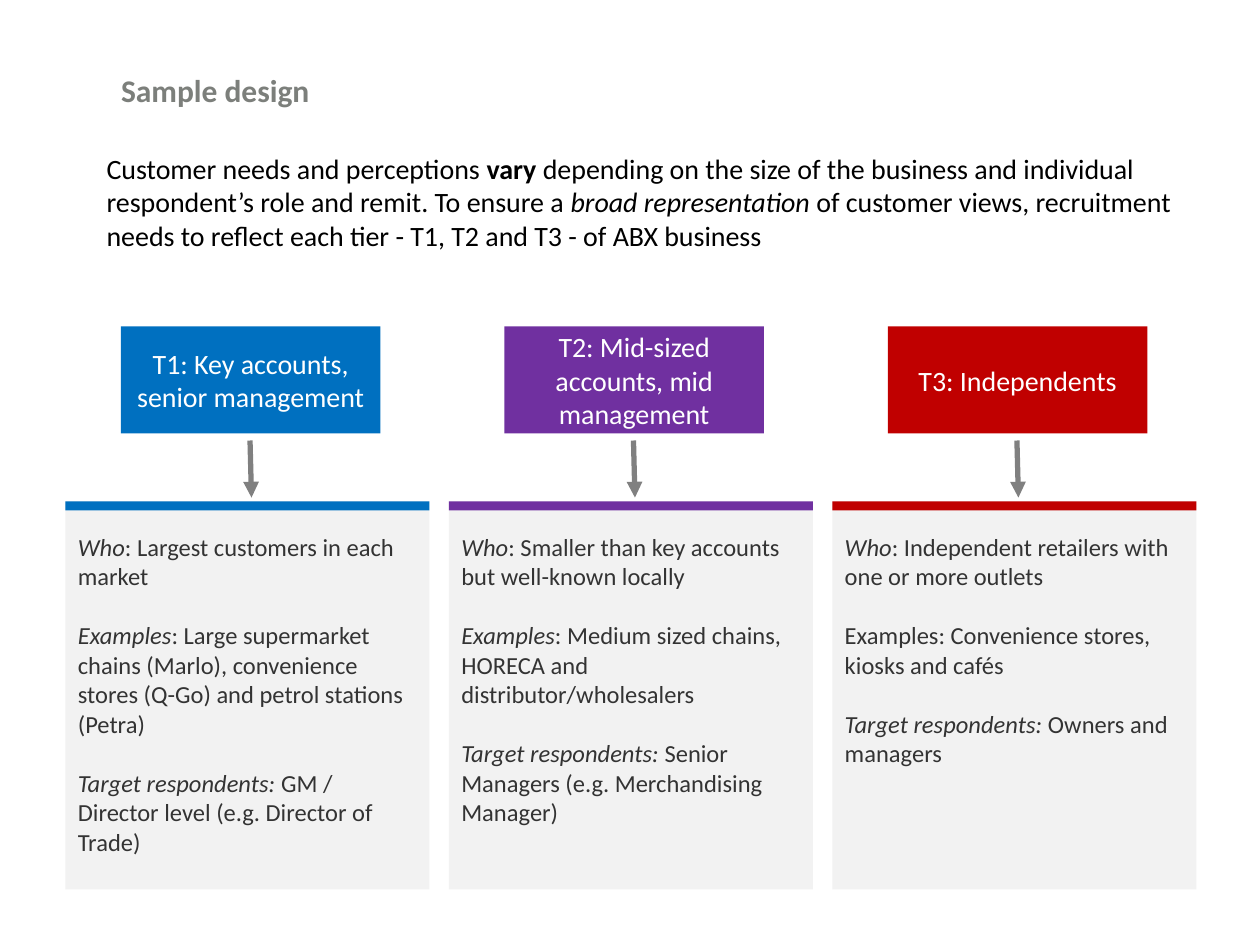
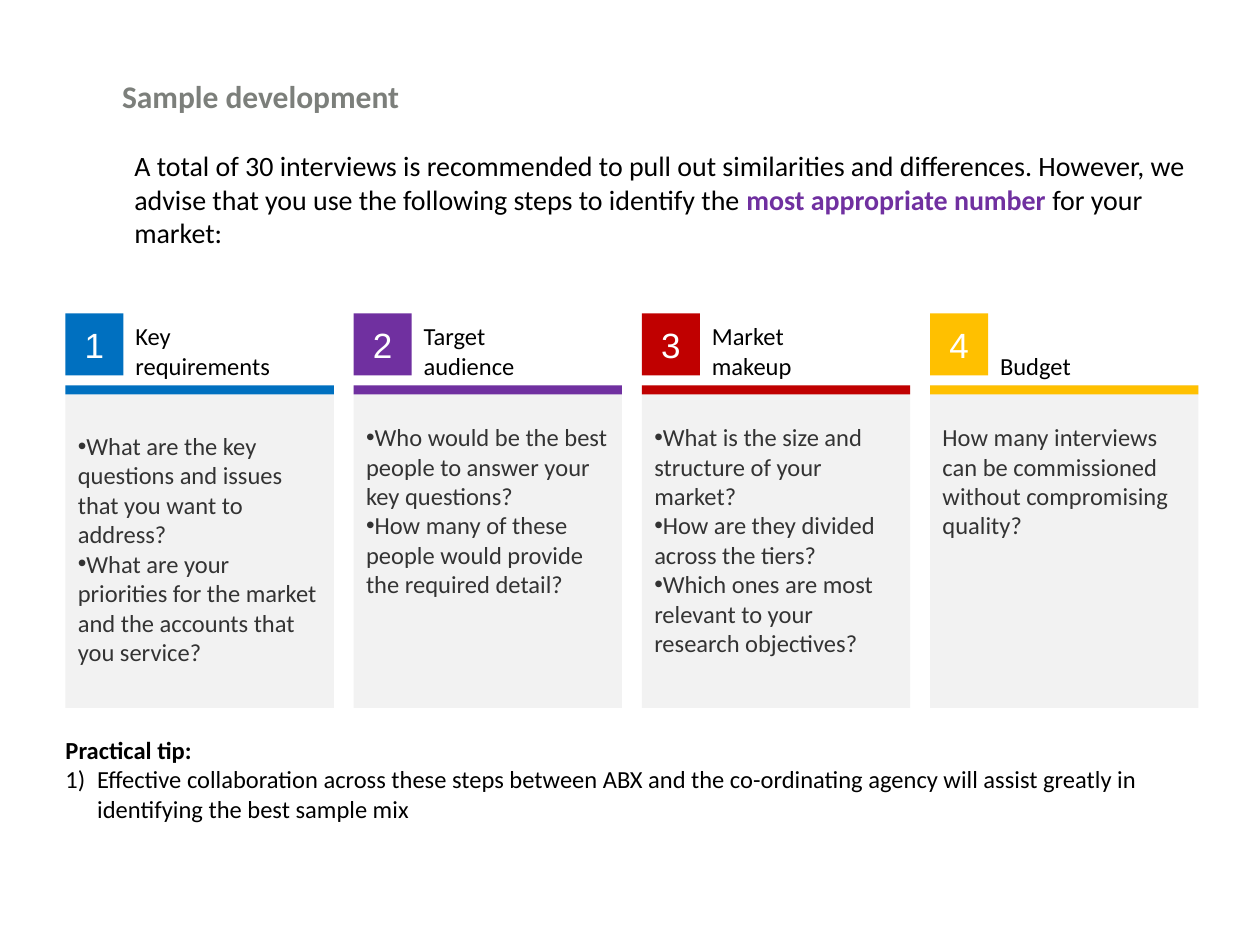
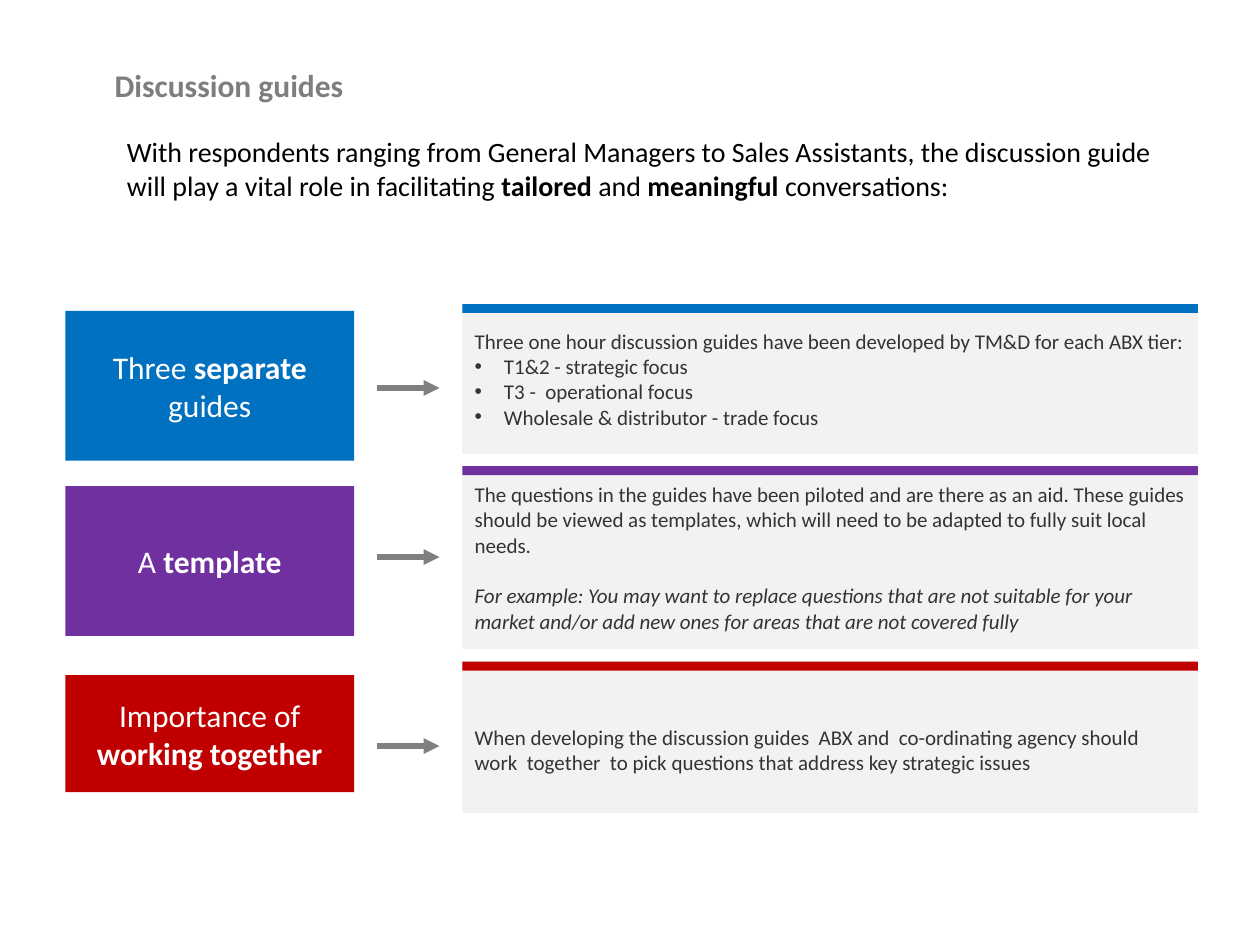
from dataclasses import dataclass
from typing import Any, NamedTuple, Optional, Sequence

from lxml.etree import SubElement
from pptx import Presentation
from pptx.dml.color import RGBColor as RGB
from pptx.enum.shapes import MSO_CONNECTOR as Line, MSO_SHAPE as Shape
from pptx.enum.text import MSO_ANCHOR as Anchor, MSO_AUTO_SIZE as AutoSize, PP_ALIGN as Align
from pptx.oxml.ns import qn
from pptx.util import Cm, Pt


# --- Theme -----------------------------------------------------------------
@dataclass(frozen=True)
class Theme:
    blue: str = "0070C0"
    purple: str = "7030A0"
    red: str = "C00000"
    amber: str = "FFC000"
    panel: str = "F2F2F2"
    arrow: str = "808080"
    title: str = "7C7F7B"
    body: str = "333333"
    black: str = "000000"
    white: str = "FFFFFF"
    font: str = "Calibri"
    digit_font: str = "Arial"
    title_pt: int = 18
    digit_pt: int = 20
    lead_pt: int = 16
    card_pt: int = 14
    note_pt: int = 12
    left: float = 1.32
    bar: float = 0.18


T = Theme()


# --- Building blocks -------------------------------------------------------
class Frame(NamedTuple):
    x: float
    y: float
    w: float
    h: float


class Span(NamedTuple):
    text: str
    bold: bool = False
    italic: bool = False
    color: Optional[str] = None


class Para(NamedTuple):
    spans: Sequence[Span]
    bullet: str = ""
    hang: float = 0
    before: float = 0


class Style(NamedTuple):
    size: int
    color: str
    font: str = T.font
    align: Align = Align.LEFT
    anchor: Anchor = Anchor.TOP
    insets: tuple = (0.25, 0.13, 0.25, 0.13)


LEAD = Style(T.lead_pt, T.black)
TITLE = Style(T.title_pt, T.title, anchor=Anchor.MIDDLE, insets=(0, 0, 0, 0))
HEAD = Style(T.lead_pt, T.white, align=Align.CENTER, anchor=Anchor.MIDDLE)
BLOCK = HEAD._replace(size=T.title_pt)
DIGIT = HEAD._replace(size=T.digit_pt, font=T.digit_font)
CARD = Style(T.card_pt, T.body, insets=(0.25, 0.61, 0.25, 0.13))
STEP_CARD = CARD._replace(insets=(0.25, 0.74, 0.25, 0.13))
LABEL = Style(T.card_pt, T.black, anchor=Anchor.BOTTOM)
TIP = Style(T.card_pt, T.black)
NOTE = Style(T.note_pt, T.body, anchor=Anchor.MIDDLE)


def plain(text: str, **kw: Any) -> Para:
    return Para([Span(text)], **kw)


def bold(text: str, color: Optional[str] = None) -> Span:
    return Span(text, bold=True, color=color)


def italic(text: str) -> Span:
    return Span(text, italic=True)


def assign(obj: Any, values: dict) -> None:
    for name, value in values.items():
        setattr(obj, name, value)


def place(sp: Any, frame: Frame) -> None:
    assign(sp, dict(zip(("left", "top", "width", "height"), map(Cm, frame))))


def set_bullet(p: Any, para: Para) -> None:
    pPr = p._p.get_or_add_pPr()
    pPr.set("marL", str(Cm(para.hang)))
    pPr.set("indent", str(-Cm(para.hang)))
    if para.bullet == "•":
        SubElement(pPr, qn("a:buFont"), typeface="Arial")
        SubElement(pPr, qn("a:buChar"), char="•")
    elif para.bullet:
        SubElement(pPr, qn("a:buFont"), typeface="+mj-lt")
        SubElement(pPr, qn("a:buAutoNum"), type=para.bullet)
    else:
        SubElement(pPr, qn("a:buNone"))


def write(sp: Any, paras: Sequence[Para], style: Style) -> None:
    tf = sp.text_frame
    sides = ("margin_left", "margin_top", "margin_right", "margin_bottom")
    assign(tf, {"word_wrap": True, "auto_size": AutoSize.NONE,
                "vertical_anchor": style.anchor, **dict(zip(sides, map(Cm, style.insets)))})
    for i, para in enumerate(paras):
        p = tf.add_paragraph() if i else tf.paragraphs[0]
        assign(p, {"alignment": style.align, "space_before": Pt(para.before)})
        set_bullet(p, para)
        for span in para.spans:
            r = p.add_run()
            r.text = span.text
            assign(r.font, {"name": style.font, "size": Pt(style.size),
                            "bold": span.bold, "italic": span.italic})
            r.font.color.rgb = RGB.from_string(span.color or style.color)


def add_box(s: Any, frame: Frame, fill: str, paras: Sequence[Para] = (),
            style: Style = HEAD) -> None:
    sp = s.shapes.add_shape(Shape.RECTANGLE, *map(Cm, frame))
    sp.shadow.inherit = False
    sp.fill.solid()
    sp.fill.fore_color.rgb = RGB.from_string(fill)
    sp.line.fill.background()
    if paras:
        write(sp, paras, style)


def add_text(s: Any, frame: Frame, paras: Sequence[Para], style: Style) -> None:
    write(s.shapes.add_textbox(*map(Cm, frame)), paras, style)


def add_bar(s: Any, x: float, y: float, w: float, color: str) -> None:
    add_box(s, Frame(x, y, w, T.bar), color)


def add_arrow(s: Any, x1: float, y1: float, x2: float, y2: float) -> None:
    cx = s.shapes.add_connector(Line.STRAIGHT, *map(Cm, (x1, y1, x2, y2)))
    cx.line.width = Pt(3)
    cx.line.color.rgb = RGB.from_string(T.arrow)
    SubElement(cx.line._get_or_add_ln(), qn("a:tailEnd"), type="triangle")
    SubElement(cx._element.spPr, qn("a:effectLst"))


def new_slide(prs: Any, layout: int, title: str, title_at: Frame,
              lead: Sequence[Span], lead_at: Frame) -> Any:
    s = prs.slides.add_slide(prs.slide_layouts[layout])
    place(s.shapes.title, title_at)
    write(s.shapes.title, [Para([bold(title)])], TITLE)
    add_text(s, lead_at, [Para(lead)], LEAD)
    return s


TITLE_AND_BODY, TITLE_ONLY = 1, 5

prs = Presentation()
assign(prs, {"slide_width": Cm(25.4), "slide_height": Cm(19.05)})


# --- Slide 1: customer tiers -----------------------------------------------
class Tier(NamedTuple):
    color: str
    name: str
    facts: Sequence[Sequence[Span]]


tiers = [
    Tier(T.blue, "T1: Key accounts, senior management", [
        [italic("Who"), Span(": Largest customers in each market")],
        [italic("Examples"), Span(": Large supermarket chains (Marlo), convenience "
                                  "stores (Q-Go) and petrol stations (Petra)")],
        [italic("Target respondents: "), Span("GM / Director level (e.g. Director of Trade)")]]),
    Tier(T.purple, "T2: Mid-sized accounts, mid management", [
        [italic("Who"), Span(": Smaller than key accounts but well-known locally")],
        [italic("Examples"), Span(": Medium sized chains, HORECA and distributor/wholesalers")],
        [italic("Target respondents: "), Span("Senior Managers (e.g. Merchandising Manager)")]]),
    Tier(T.red, "T3: Independents", [
        [italic("Who"), Span(": Independent retailers with one or more outlets")],
        [Span("Examples: Convenience stores, kiosks and cafés")],
        [italic("Target respondents: "), Span("Owners and managers")]]),
]

s = new_slide(
    prs, TITLE_ONLY, "Sample design", Frame(2.44, 0.74, 21.64, 2.13),
    [Span("Customer needs and perceptions "), bold("vary "),
     Span("depending on the size of the business and individual respondent’s role and "
          "remit. To ensure a "), italic("broad representation "),
     Span("of customer views, recruitment needs to reflect each tier - T1, T2 and T3 - "
          "of ABX business")],
    Frame(1.9, 2.92, 22.56, 2.31))

TIER_STEP, TIER_W, TIER_TOP = 7.73, 7.34, 10.11
for i, tier in enumerate(tiers):
    x = T.left + i * TIER_STEP
    add_box(s, Frame(x + 1.12, 6.58, 5.23, 2.16), tier.color, [plain(tier.name)])
    add_arrow(s, x + 3.72, 8.88, x + 3.75, 10.03)
    facts = [Para(spans, before=17 if n else 0) for n, spans in enumerate(tier.facts)]
    add_box(s, Frame(x, TIER_TOP, TIER_W, 7.82), T.panel, facts, CARD)
    add_bar(s, x, TIER_TOP, TIER_W, tier.color)


# --- Slide 2: four steps and a tip -----------------------------------------
class Step(NamedTuple):
    color: str
    name: str
    questions: Sequence[str]
    bullet: str = "•"
    drop: float = 0


steps = [
    Step(T.blue, "Key requirements", [
        "What are the key questions and issues that you want to address?",
        "What are your priorities for the market and the accounts that you service?"], drop=0.18),
    Step(T.purple, "Target audience", [
        "Who would be the best people to answer your key questions?",
        "How many of these people would provide the required detail?"]),
    Step(T.red, "Market makeup", [
        "What is the size and structure of your market?",
        "How are they divided across the tiers?",
        "Which ones are most relevant to your research objectives?"]),
    Step(T.amber, "Budget", [
        "How many interviews can be commissioned without compromising quality?"], bullet=""),
]

s = new_slide(
    prs, TITLE_AND_BODY, "Sample development", Frame(2.46, 0.86, 21.64, 2.13),
    [Span("A total of 30 interviews is recommended to pull out similarities and differences. "
          "However, we advise that you use the following steps to identify the "),
     bold("most appropriate number ", T.purple), Span("for your market:")],
    Frame(2.46, 2.87, 21.87, 2.31))

STEP_GAP, STEP_W, STEP_TOP, STEP_H = 5.81, 5.41, 7.77, 6.5
for i, step in enumerate(steps):
    x = T.left + i * STEP_GAP
    questions = [plain(q, bullet=step.bullet) for q in step.questions]
    add_box(s, Frame(x, STEP_TOP + step.drop, STEP_W, STEP_H - step.drop),
            T.panel, questions, STEP_CARD)
    add_bar(s, x, STEP_TOP, STEP_W, step.color)
    add_text(s, Frame(x + 1.16, 5.94, 3.61, 1.85), [plain(step.name)], LABEL)
    add_box(s, Frame(x, 6.32, 1.17, 1.25), step.color, [plain(str(i + 1))], DIGIT)

tip = s.placeholders[1]
place(tip, Frame(1.07, 14.68, 24, 2.64))
write(tip, [
    Para([bold("Practical tip:")]),
    plain("Effective collaboration across these steps between ABX and the co-ordinating "
          "agency will assist greatly in identifying the best sample mix",
          bullet="arabicParenR", hang=0.64)], TIP)


# --- Slide 3: discussion guides --------------------------------------------
class Guide(NamedTuple):
    color: str
    name: Sequence[Span]
    block: tuple  # top and height
    card: tuple   # top and height
    arrow_y: float
    notes: Sequence[Para]
    style: Style = NOTE


guides = [
    Guide(T.blue, [Span("Three "), bold("separate"), Span(" guides")],
          (6.27, 3.02), (6.13, 3.02), 7.82,
          [plain("Three one hour discussion guides have been developed by TM&D for each "
                 "ABX tier:"),
           *(plain(focus, bullet="•", hang=0.59) for focus in (
               "T1&2 - strategic focus", "T3 -  operational focus",
               "Wholesale & distributor - trade focus"))]),
    Guide(T.purple, [Span("A "), bold("template")],
          (9.8, 3.02), (9.4, 3.68), 11.23,
          [plain("The questions in the guides have been piloted and are there as an aid. "
                 "These guides should be viewed as templates, which will need to be adapted "
                 "to fully suit local needs."),
           Para([italic("For example: You may want to replace questions that are not suitable "
                        "for your market and/or add new ones for areas that are not covered "
                        "fully")], before=14.6)]),
    Guide(T.red, [Span("Importance of "), bold("working together")],
          (13.61, 2.36), (13.34, 3.05), 15.04,
          [plain("When developing the discussion guides  ABX and  co-ordinating agency should "
                 "work  together  to pick questions that address key strategic issues")],
          NOTE._replace(insets=CARD.insets)),
]

s = new_slide(
    prs, TITLE_ONLY, "Discussion guides", Frame(2.31, 0.64, 21.79, 2.13),
    [Span("With respondents ranging from General Managers to Sales Assistants, the discussion "
          "guide will play a vital role in facilitating "), bold("tailored"), Span(" and "),
     bold("meaningful "), Span("conversations:")],
    Frame(2.31, 2.59, 22.05, 1.63))

GUIDE_X, GUIDE_W = 9.32, 14.83
for guide in guides:
    block_top, block_h = guide.block
    card_top, card_h = guide.card
    add_box(s, Frame(T.left, block_top, 5.82, block_h), guide.color, [Para(guide.name)], BLOCK)
    add_arrow(s, 7.59, guide.arrow_y, 8.86, guide.arrow_y)
    add_box(s, Frame(GUIDE_X, card_top, GUIDE_W, card_h), T.panel, guide.notes, guide.style)
    add_bar(s, GUIDE_X, card_top, GUIDE_W, guide.color)

prs.save("out.pptx")
